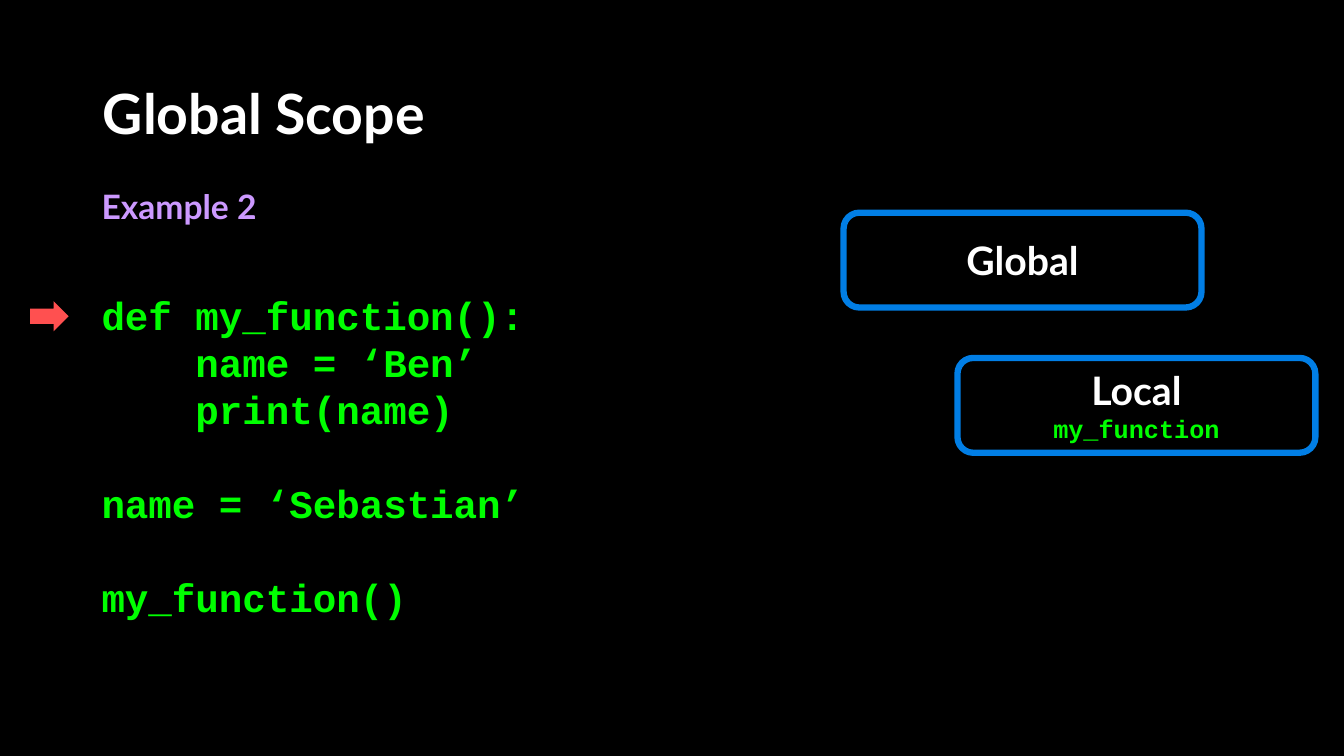
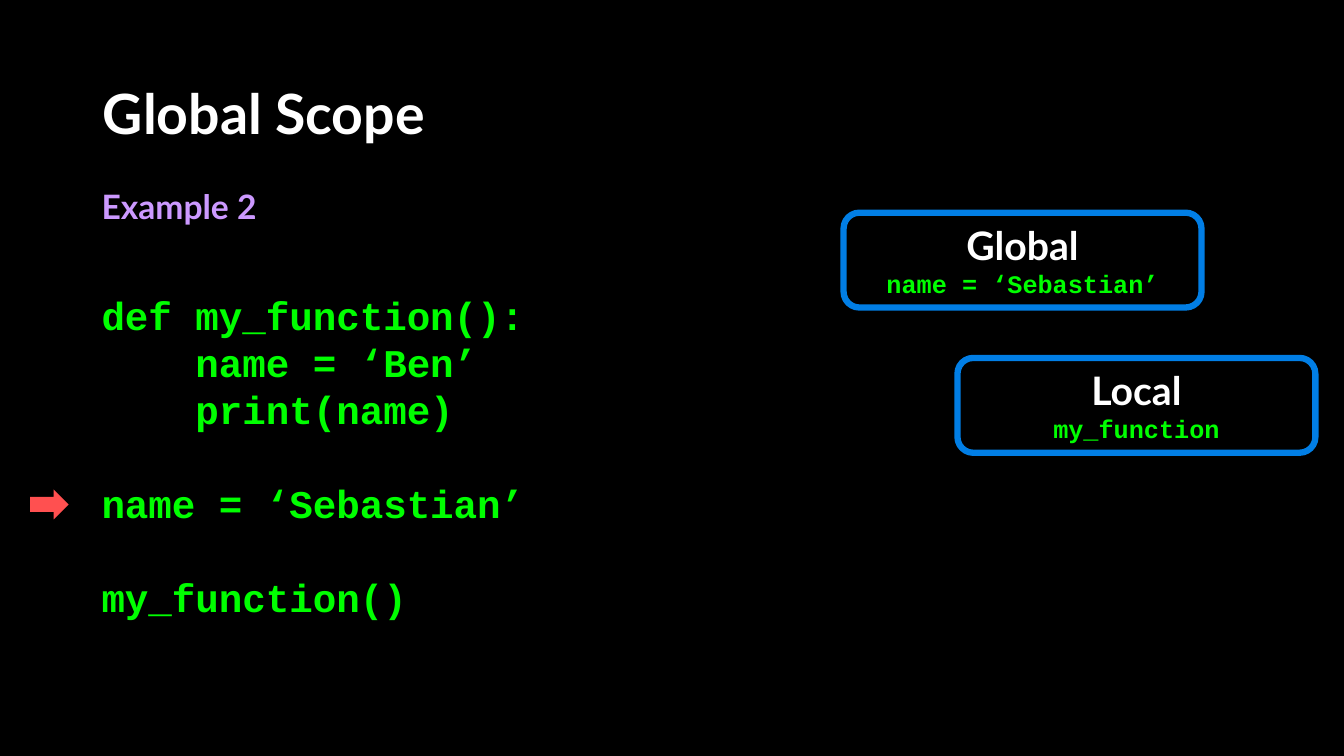
from dataclasses import dataclass

from pptx import Presentation
from pptx.dml.color import RGBColor
from pptx.enum.shapes import MSO_SHAPE
from pptx.enum.text import MSO_ANCHOR, PP_ALIGN
from pptx.shapes.autoshape import Shape
from pptx.slide import Slide, SlideLayout
from pptx.text.text import TextFrame
from pptx.util import Cm, Length, Pt

ARROW, ROUND = MSO_SHAPE.RIGHT_ARROW, MSO_SHAPE.ROUNDED_RECTANGLE
LEFT, CENTER = PP_ALIGN.LEFT, PP_ALIGN.CENTER
TOP, MIDDLE = MSO_ANCHOR.TOP, MSO_ANCHOR.MIDDLE


# Theme
@dataclass(frozen=True)
class Style:
    font: str
    size: float
    color: str


@dataclass(frozen=True)
class Theme:
    back: str = "000000"
    border: str = "017EE5"
    arrow: str = "FF5050"
    title: Style = Style("Lato", 39.6, "FFFFFF")
    label: Style = Style("Lato", 24, "CC99FF")
    code: Style = Style("Courier New", 28, "00FF00")
    scope: Style = Style("Lato", 28, "FFFFFF")
    value: Style = Style("Courier New", 18, "00FF00")
    pitch: Length = Pt(33.6)
    border_width: Length = Pt(4.5)


THEME = Theme()


# Content
@dataclass(frozen=True)
class Line:
    text: str
    style: Style
    gap: Length = Pt(0)


@dataclass(frozen=True)
class Area:
    left: float
    top: float
    width: float
    height: float

    def cm(self) -> tuple[Length, ...]:
        return Cm(self.left), Cm(self.top), Cm(self.width), Cm(self.height)


@dataclass(frozen=True)
class Scope:
    name: str
    area: Area
    value: str = ""


@dataclass(frozen=True)
class Step:
    row: int
    scopes: tuple[Scope, ...]


TITLE = Area(2.34, 2.03, 29.21, 1.83)
LABEL = Area(2.31, 4.55, 4.65, 1.27)
CODE = Area(2.31, 7.21, 11.86, 8.64)
POINTER = Area(0.76, 7.59, 0.97, 0.76)
GLOBAL = Area(21.26, 5.36, 9.02, 2.39)
LOCAL = Area(24.13, 9.02, 9.02, 2.39)

PROGRAM = (
    Line("def my_function():", THEME.code),
    Line("    name = ‘Ben’", THEME.code),
    Line("    print(name)", THEME.code),
    Line("name = ‘Sebastian’", THEME.code, THEME.pitch),
    Line("my_function()", THEME.code, THEME.pitch),
)
INNER = Scope("Local", LOCAL, "my_function")
STEPS = (
    Step(0, (Scope("Global", GLOBAL), INNER)),
    Step(4, (Scope("Global", GLOBAL, "name = ‘Sebastian’"), INNER)),
)


# Drawing
def write(frame: TextFrame, *lines: Line, align: PP_ALIGN = LEFT,
          anchor: MSO_ANCHOR = TOP,
          spacing: float | Length | None = None) -> None:
    frame.word_wrap = True
    frame.vertical_anchor = anchor
    for index, line in enumerate(lines):
        para = frame.add_paragraph() if index else frame.paragraphs[0]
        para.alignment = align
        para.space_before = line.gap
        if spacing is not None:
            para.line_spacing = spacing
        run = para.add_run()
        run.text = line.text
        font = run.font
        font.name, font.size, font.bold = line.style.font, Pt(line.style.size), True
        font.color.rgb = RGBColor.from_string(line.style.color)


def add_text(slide: Slide, area: Area, *lines: Line,
             spacing: Length | None = None) -> None:
    write(slide.shapes.add_textbox(*area.cm()).text_frame, *lines, spacing=spacing)


def add_scope(slide: Slide, scope: Scope) -> None:
    box: Shape = slide.shapes.add_shape(ROUND, *scope.area.cm())
    box.shadow.inherit = False
    box.fill.background()
    box.line.color.rgb = RGBColor.from_string(THEME.border)
    box.line.width = THEME.border_width
    lines = [Line(scope.name, THEME.scope)]
    if scope.value:
        lines.append(Line(scope.value, THEME.value))
    write(box.text_frame, *lines, align=CENTER, anchor=MIDDLE)


def add_arrow(slide: Slide, row: int) -> None:
    left, top, width, height = POINTER.cm()
    arrow = slide.shapes.add_shape(ARROW, left, top + row * THEME.pitch, width, height)
    arrow.shadow.inherit = False
    arrow.fill.solid()
    arrow.fill.fore_color.rgb = RGBColor.from_string(THEME.arrow)
    arrow.line.fill.background()


def add_step(deck: Presentation, layout: SlideLayout, step: Step) -> None:
    slide = deck.slides.add_slide(layout)
    title = slide.shapes.title
    title.left, title.top, title.width, title.height = TITLE.cm()
    write(title.text_frame, Line("Global Scope", THEME.title),
          anchor=MIDDLE, spacing=0.9)
    add_text(slide, CODE, *PROGRAM, spacing=THEME.pitch)
    add_arrow(slide, step.row)
    for scope in step.scopes:
        add_scope(slide, scope)
    add_text(slide, LABEL, Line("Example 2", THEME.label))


def main() -> None:
    deck = Presentation()
    deck.slide_width, deck.slide_height = Cm(33.87), Cm(19.05)
    # Shared background
    fill = deck.slide_master.background.fill
    fill.solid()
    fill.fore_color.rgb = RGBColor.from_string(THEME.back)
    layout = deck.slide_layouts.get_by_name("Title Only")
    for step in STEPS:
        add_step(deck, layout, step)
    deck.save("out.pptx")


if __name__ == "__main__":
    main()
